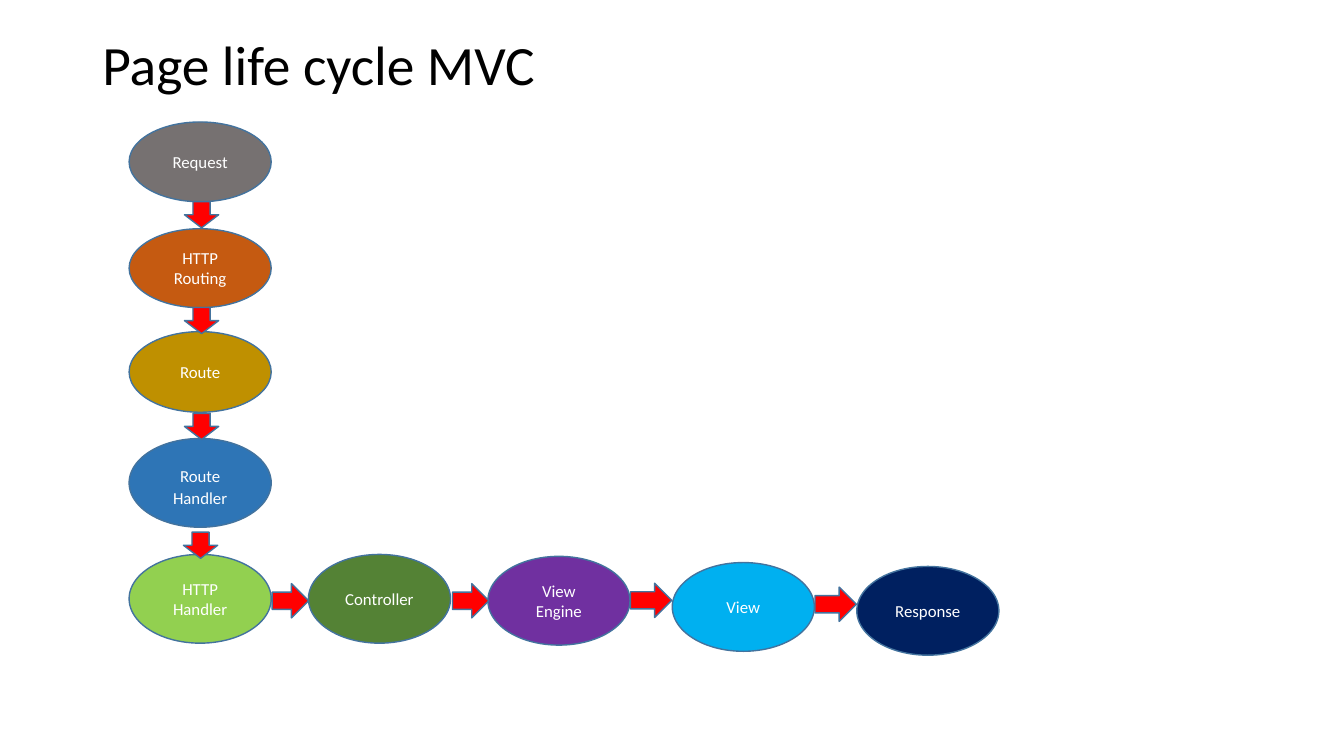
from pptx import Presentation
from pptx.dml.color import RGBColor
from pptx.enum.shapes import MSO_SHAPE
from pptx.enum.text import MSO_ANCHOR, PP_ALIGN
from pptx.util import Pt

COLORS = {
    "black": "000000", "white": "FFFFFF", "outline": "43739E", "red": "FF0000",
    "grey": "767171", "orange": "C55A11", "gold": "BF9000", "blue": "2E75B6",
    "lime": "92D050", "green": "548235", "purple": "7030A0", "sky": "00B0F0",
    "navy": "002060",
}
FONT = "Calibri"
STAGE_WIDTH = 101.5
COLUMN_LEFT = 92.2
ARROW_BREADTH = 24.5
ROW_HEIGHT = 63.4

# Each paragraph is a list of (text, size) runs.
# left, top, height, color, paragraphs
STAGES = [
    (COLUMN_LEFT, 87.1, 57, "grey", [[("Request", 12)]]),
    (COLUMN_LEFT, 163.4, 56.4, "orange", [[("HTTP", 12)], [("Routing", 12)]]),
    (COLUMN_LEFT, 236.9, 57.6, "gold", [[("Route", 12)]]),
    (COLUMN_LEFT, 313.2, ROW_HEIGHT, "blue",
     [[("Route", 12), (" ", 18), ("Handler", 12)]]),
    (COLUMN_LEFT, 396, ROW_HEIGHT, "lime", [[("HTTP", 12)], [("Handler", 12)]]),
    (220.3, 396, ROW_HEIGHT, "green", [[("Controller", 12)]]),
    (348.5, 397.4, ROW_HEIGHT, "purple", [[("View Engine", 12)]]),
    (480.2, 401.8, ROW_HEIGHT, "sky", [[("View", 12)]]),
    (612, 404.6, ROW_HEIGHT, "navy", [[("Response", 12)]]),
]
# center x, center y, length, rotation
ARROWS = [
    (144, 153.4, 18.7, 0), (144, 229, 18.7, 0),
    (144, 304.6, 18.7, 0), (143.3, 389.5, 18.7, 0),
    (207.4, 429.1, 26, 270), (336.2, 429.1, 26, 270),
    (465.1, 428.8, 29.5, 270), (596.9, 431.6, 29.5, 270),
]


def rgb(name):
    return RGBColor.from_string(COLORS[name])


class LifeCycleSlide:
    """Holds the shared style and the slide being drawn."""

    def __init__(self, deck):
        self.page = deck.slides.add_slide(deck.slide_layouts[6])

    def add_runs(self, para, runs, color):
        for text, size in runs:
            span = para.add_run()
            span.text = text
            span.font.name = FONT
            span.font.size = Pt(size)
            span.font.color.rgb = rgb(color)

    def title(self, text):
        box = self.page.shapes.add_textbox(Pt(66), Pt(28.8), Pt(828), Pt(39))
        frame = box.text_frame
        frame.word_wrap = True
        frame.vertical_anchor = MSO_ANCHOR.MIDDLE
        para = frame.paragraphs[0]
        para.line_spacing = 0.9
        self.add_runs(para, [(text, 39.6)], "black")

    def outlined(self, kind, left, top, width, height, color):
        shape = self.page.shapes.add_shape(
            kind, Pt(left), Pt(top), Pt(width), Pt(height))
        shape.shadow.inherit = False
        shape.fill.solid()
        shape.fill.fore_color.rgb = rgb(color)
        shape.line.color.rgb = rgb("outline")
        shape.line.width = Pt(1)
        return shape

    def stage(self, left, top, height, color, paragraphs):
        oval = self.outlined(MSO_SHAPE.OVAL, left, top, STAGE_WIDTH, height, color)
        frame = oval.text_frame
        frame.word_wrap = True
        frame.vertical_anchor = MSO_ANCHOR.MIDDLE
        for index, runs in enumerate(paragraphs):
            para = frame.add_paragraph() if index else frame.paragraphs[0]
            para.alignment = PP_ALIGN.CENTER
            self.add_runs(para, runs, "white")

    def arrow(self, center_x, center_y, length, rotation):
        arrow = self.outlined(
            MSO_SHAPE.DOWN_ARROW, center_x - ARROW_BREADTH / 2,
            center_y - length / 2, ARROW_BREADTH, length, "red")
        arrow.rotation = rotation


def main():
    deck = Presentation()
    deck.slide_width, deck.slide_height = Pt(960), Pt(540)
    slide = LifeCycleSlide(deck)
    slide.title("Page life cycle MVC")
    for stage in STAGES:
        slide.stage(*stage)
    for arrow in ARROWS:
        slide.arrow(*arrow)
    deck.save("out.pptx")


if __name__ == "__main__":
    main()
